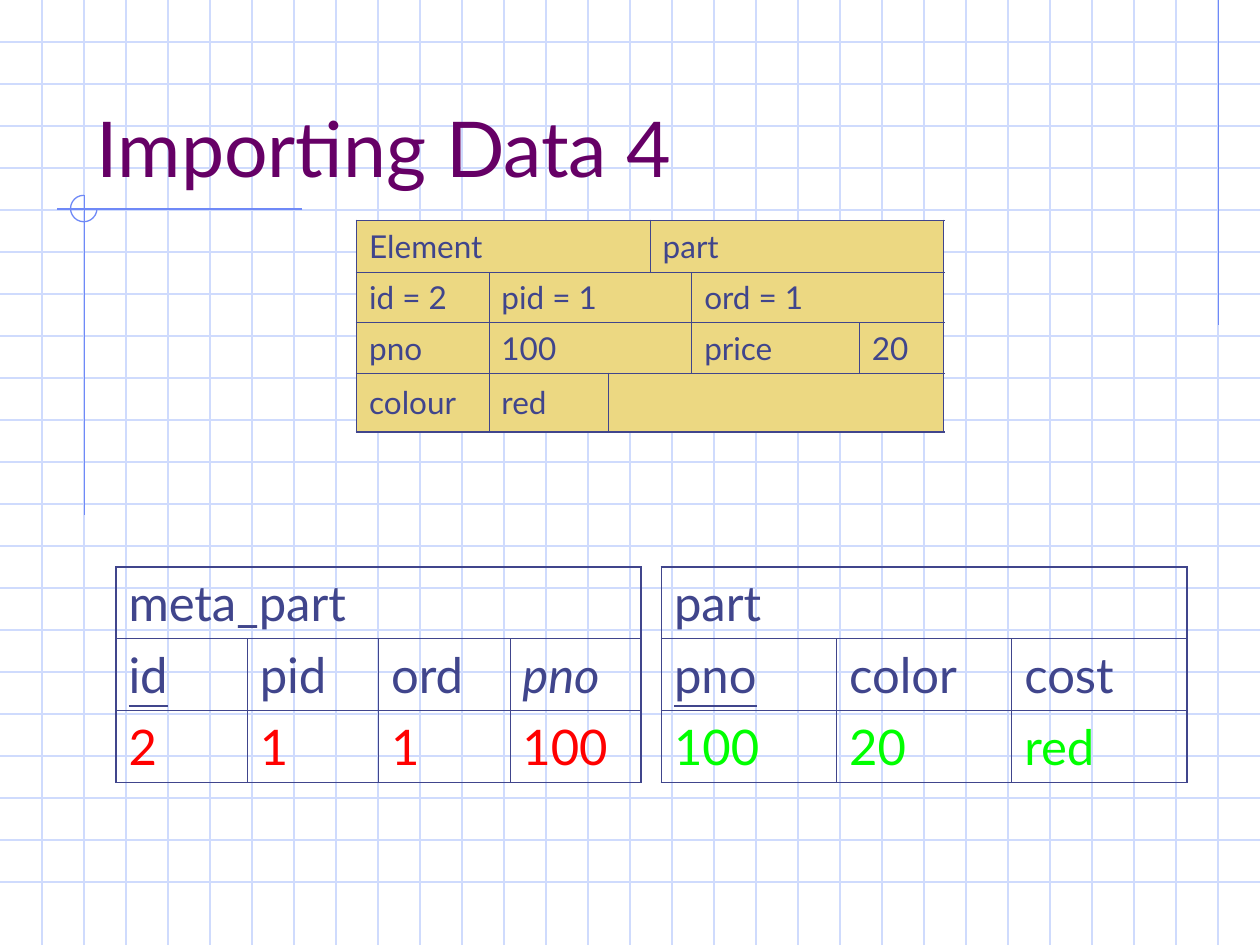
import dataclasses

import pptx
import pptx.dml.color
import pptx.enum.shapes
import pptx.enum.text
import pptx.oxml
import pptx.oxml.ns
import pptx.util
from pptx.util import Inches

RGBColor = pptx.dml.color.RGBColor
GRID_BLUE = RGBColor(0xCF, 0xDB, 0xFD)
ACCENT_BLUE = RGBColor(0x6F, 0x89, 0xF7)
INDIGO = RGBColor(0x40, 0x45, 0x8C)
PURPLE = RGBColor(0x66, 0x00, 0x66)
SAND = RGBColor(0xEC, 0xD8, 0x82)
RED = RGBColor(0xFF, 0x00, 0x00)
GREEN = RGBColor(0x00, 0xFF, 0x00)

FONT = "Lato"
WIDTH, HEIGHT = 10, 7.5
GRID_STEP = 1 / 3
INNER_BORDER, OUTER_BORDER = 0.45, 1.08


@dataclasses.dataclass
class Cell:
    text: str
    span: int = 1
    color: RGBColor = INDIGO
    underline: bool = False
    italic: bool = False


def add_line(slide, start, end, color):
    line = slide.shapes.add_connector(
        pptx.enum.shapes.MSO_CONNECTOR.STRAIGHT,
        *(Inches(value) for value in (*start, *end)))
    line.line.color.rgb = color
    line.line.width = pptx.util.Pt(0.75)
    properties = line.element.spPr
    properties.append(properties.makeelement(pptx.oxml.ns.qn("a:effectLst"), {}))


def add_grid(slide):
    for index in range(1, round(HEIGHT / GRID_STEP)):
        y = index * GRID_STEP
        add_line(slide, (0, y), (WIDTH, y), GRID_BLUE)
    for index in range(1, round(WIDTH / GRID_STEP)):
        x = index * GRID_STEP
        add_line(slide, (x, 0), (x, HEIGHT), GRID_BLUE)


def add_accents(slide):
    """Draw the corner lines and the three-quarter circle at their crossing."""
    add_line(slide, (9.67, 0), (9.67, 2.58), ACCENT_BLUE)
    add_line(slide, (2.4, 1.66), (0.45, 1.66), ACCENT_BLUE)
    add_line(slide, (0.67, 1.55), (0.67, 4.09), ACCENT_BLUE)
    arc = slide.shapes.add_shape(
        pptx.enum.shapes.MSO_SHAPE.ARC,
        Inches(0.56), Inches(1.55), Inches(0.21), Inches(0.21))
    arc.adjustments[0] = 0
    arc.adjustments[1] = 162  # 270 degrees
    arc.shadow.inherit = False
    arc.fill.background()
    arc.line.color.rgb = ACCENT_BLUE
    arc.line.width = pptx.util.Pt(0.75)


def set_font(paragraph, size, color):
    paragraph.font.name = FONT
    paragraph.font.size = pptx.util.Pt(size)
    paragraph.font.color.rgb = color


def add_title(slide, text):
    box = slide.shapes.add_textbox(
        Inches(0.67), Inches(0.33), Inches(8.5), Inches(1.25))
    frame = box.text_frame
    frame.word_wrap = True
    frame.vertical_anchor = pptx.enum.text.MSO_ANCHOR.BOTTOM
    frame.text = text
    set_font(frame.paragraphs[0], 44, PURPLE)


def set_borders(cell, outer_sides):
    properties = cell._tc.get_or_add_tcPr()
    for position, side in enumerate("LRTB"):
        points = OUTER_BORDER if side in outer_sides else INNER_BORDER
        border = pptx.oxml.parse_xml(
            f'<a:ln{side} {pptx.oxml.ns.nsdecls("a")} w="{pptx.util.Pt(points)}">'
            f'<a:solidFill><a:srgbClr val="{INDIGO}"/></a:solidFill></a:ln{side}>')
        properties.insert(position, border)


def add_table(slide, left, top, widths, heights, rows, size, fill=None):
    """Add a table whose rows list their cells, each with its column span."""
    table = slide.shapes.add_table(
        len(heights), len(widths), Inches(left), Inches(top),
        Inches(sum(widths)), Inches(sum(heights))).table
    table.first_row = table.horz_banding = False
    for column, width in zip(table.columns, widths):
        column.width = Inches(width)
    for row, height in zip(table.rows, heights):
        row.height = Inches(height)

    for row_index, row in enumerate(rows):
        start = 0
        for content in row:
            end = start + content.span - 1
            cell = table.cell(row_index, start)
            if content.span > 1:
                cell.merge(table.cell(row_index, end))
            fill_cell(cell, content, size, fill)
            edges = {"L": start == 0, "R": end == len(widths) - 1,
                     "T": row_index == 0, "B": row_index == len(rows) - 1}
            set_borders(cell, [side for side, is_outer in edges.items() if is_outer])
            start = end + 1


def fill_cell(cell, content, size, fill):
    cell.vertical_anchor = pptx.enum.text.MSO_ANCHOR.MIDDLE
    if fill is None:
        cell.fill.background()
    else:
        cell.fill.solid()
        cell.fill.fore_color.rgb = fill
    cell.text = content.text
    paragraph = cell.text_frame.paragraphs[0]
    set_font(paragraph, size, content.color)
    if content.underline:
        paragraph.font.underline = True
    if content.italic:
        paragraph.font.italic = True


def main():
    presentation = pptx.Presentation()
    presentation.slide_width = Inches(WIDTH)
    presentation.slide_height = Inches(HEIGHT)
    slide = presentation.slides.add_slide(presentation.slide_layouts[6])

    add_grid(slide)
    add_accents(slide)
    add_title(slide, "Importing Data 4")

    element_rows = [
        [Cell("Element", 3), Cell("part", 3)],
        [Cell("id = 2"), Cell("pid = 1", 3), Cell("ord = 1", 2)],
        [Cell("pno"), Cell("100", 3), Cell("price"), Cell("20")],
        [Cell("colour"), Cell("red"), Cell("", 4)],
    ]
    add_table(slide, 2.83, 1.75, [1.05, 0.95, 0.33, 0.33, 1.33, 0.67],
              [0.41, 0.4, 0.4, 0.47], element_rows, 18, SAND)

    meta_rows = [
        [Cell("meta_part", 4)],
        [Cell("id", underline=True), Cell("pid"), Cell("ord"),
         Cell("pno", italic=True)],
        [Cell(value, color=RED) for value in ("2", "1", "1", "100")],
    ]
    part_rows = [
        [Cell("part", 3)],
        [Cell("pno", underline=True), Cell("color"), Cell("cost")],
        [Cell(value, color=GREEN) for value in ("100", "20", "red")],
    ]
    for left, rows in ((0.92, meta_rows), (5.25, part_rows)):
        count = len(rows[-1])
        add_table(slide, left, 4.5, [4.17 / count] * count, [0.57] * 3, rows, 28)

    presentation.save("out.pptx")


if __name__ == "__main__":
    main()
